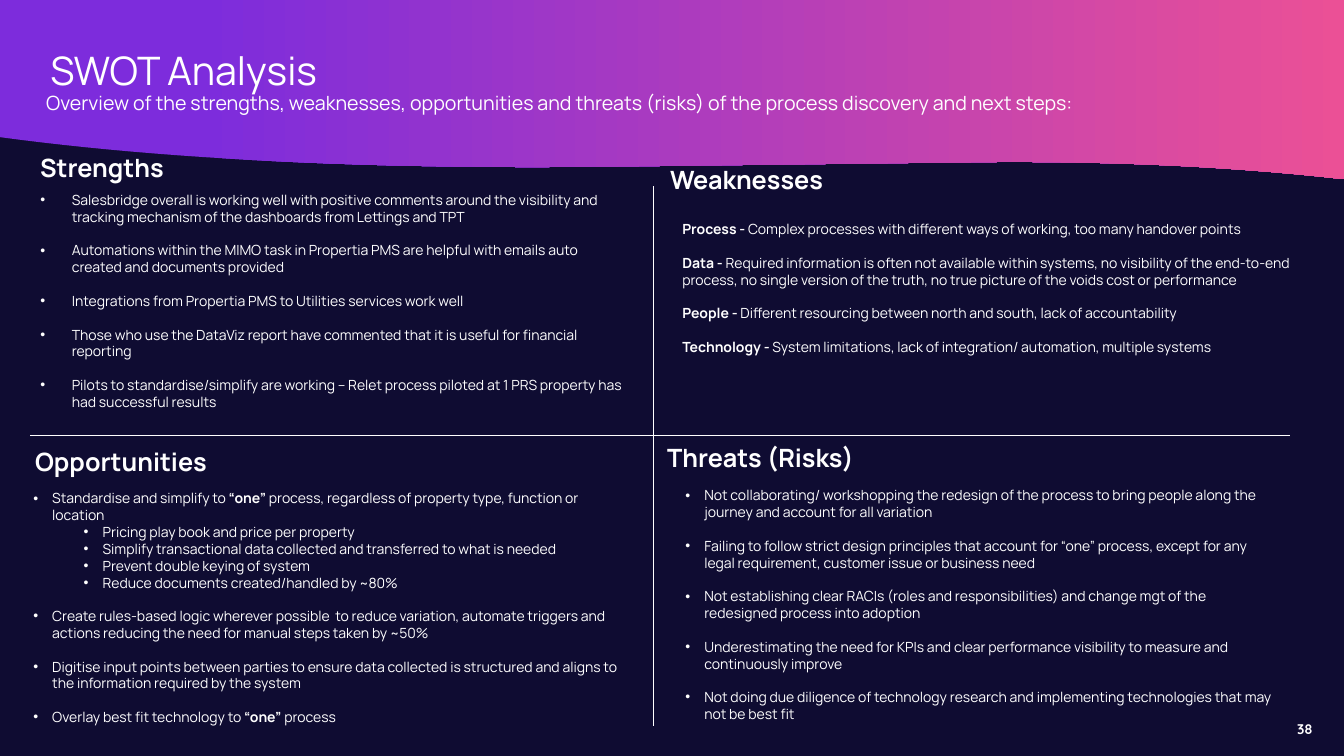
from lxml import etree
from pptx import Presentation
from pptx.dml.color import RGBColor
from pptx.enum.shapes import MSO_CONNECTOR
from pptx.enum.text import MSO_ANCHOR, MSO_AUTO_SIZE, PP_ALIGN
from pptx.oxml.ns import qn
from pptx.util import Pt

STRAIGHT = MSO_CONNECTOR.STRAIGHT
TOP, MIDDLE = MSO_ANCHOR.TOP, MSO_ANCHOR.MIDDLE
NO_AUTOFIT = MSO_AUTO_SIZE.NONE
LEFT, RIGHT = PP_ALIGN.LEFT, PP_ALIGN.RIGHT
NAVY, WHITE, VIOLET, PINK = "0F0C32", "FFFFFF", "7D2CDC", "EB5096"
COMPARISON = 4  # layout with a title and four body placeholders


def rgb(value):
    return RGBColor.from_string(value)


def style(p, size, bold=False, font="Manrope", align=LEFT):
    """Format a paragraph and all its runs."""
    p.alignment = align
    for r in p.runs:
        r.font.name = font
        r.font.size = Pt(size)
        r.font.bold = bold
        r.font.color.rgb = rgb(WHITE)


prs = Presentation()
prs.slide_width, prs.slide_height = Pt(960), Pt(540)
s = prs.slides.add_slide(prs.slide_layouts[COMPARISON])
s.background.fill.solid()
s.background.fill.fore_color.rgb = rgb(NAVY)

# Header band with a wavy lower edge, from two Bezier curves
wave = [
    [(960, 128), (881, 119), (789, 114.5), (687, 116)],
    [(438, 119), (264, 121), (119, 114), (0, 98)],
]
edge = []
for curve in wave:
    for step in range(25):
        t = step / 24
        weights = ((1 - t) ** 3, 3 * t * (1 - t) ** 2, 3 * t**2 * (1 - t), t**3)
        edge.append([Pt(sum(w * pt[axis] for w, pt in zip(weights, curve)))
                     for axis in (0, 1)])
builder = s.shapes.build_freeform(0, 0)
builder.add_line_segments([(Pt(960), 0)] + edge, close=True)
band = builder.convert_to_shape()
band.shadow.inherit = False
band.line.fill.background()
band.fill.gradient()
band.fill.gradient_angle = 0
for stop, position, color in zip(band.fill.gradient_stops, (0.15, 1), (VIOLET, PINK)):
    stop.position = position
    stop.color.rgb = rgb(color)
s.shapes._spTree.insert(2, band._element)

# Title
title = s.shapes.title
title.left, title.top, title.width, title.height = Pt(28.8), Pt(21.6), Pt(829.4), Pt(60.5)
tf = title.text_frame
tf.text = "SWOT Analysis"
tf.auto_size = NO_AUTOFIT
tf.vertical_anchor = MIDDLE
tf.paragraphs[0].line_spacing = 0.9
style(tf.paragraphs[0], 28)

# Quadrant dividers
for x1, y1, x2, y2 in [(466.6, 133.2, 466.6, 518.4), (21.6, 311, 921.6, 311)]:
    divider = s.shapes.add_connector(STRAIGHT, Pt(x1), Pt(y1), Pt(x2), Pt(y2))
    divider.line.color.rgb = rgb(WHITE)
    divider.line.width = Pt(0.5)
    etree.SubElement(divider._element.spPr, qn("a:effectLst"))

# Subtitle and quadrant headings: text, left, top, width, height, size, bold
labels = [
    ("Overview of the strengths, weaknesses, opportunities and threats (risks) "
     "of the process discovery and next steps:", 25.9, 61.2, 779.8, 41, 14, False),
    ("Strengths", 21.6, 105.1, 157, 29, 18, True),
    ("Weaknesses", 471.6, 113.8, 157, 29, 18, True),
    ("Opportunities", 18, 315.4, 157, 29, 18, True),
    ("Threats (Risks)", 469.4, 312.5, 157, 29, 18, True),
]
for text, x, y, w, h, size, bold in labels:
    tf = s.shapes.add_textbox(Pt(x), Pt(y), Pt(w), Pt(h)).text_frame
    tf.word_wrap = True
    tf.text = text
    style(tf.paragraphs[0], size, bold)

# Quadrant texts: ** marks bold, a leading tab marks a second-level item
strengths = [
    "Salesbridge overall is working well with positive comments around the visibility "
    "and tracking mechanism of the dashboards from Lettings and TPT",
    "Automations within the MIMO task in Propertia PMS are helpful with emails auto "
    "created and documents provided",
    "Integrations from Propertia PMS to Utilities services work well",
    "Those who use the DataViz report have commented that it is useful for financial "
    "reporting",
    "Pilots to standardise/simplify are working – Relet process piloted at 1 PRS "
    "property has had successful results",
]
weaknesses = [
    "**Process - **Complex processes with different ways of working, too many "
    "handover points",
    "**Data - **Required information is often not available within systems, no "
    "visibility of the end-to-end process, no single version of the truth, no true "
    "picture of the voids cost or performance",
    "**People - **Different resourcing between north and south, lack of accountability",
    "**Technology - **System limitations, lack of integration/ automation, multiple "
    "systems",
]
opportunities = [
    "Standardise and simplify to **“one” **process, regardless of property type, "
    "function or location",
    "\tPricing play book and price per property",
    "\tSimplify transactional data collected and transferred to what is needed",
    "\tPrevent double keying of system",
    "\tReduce documents created/handled by ~80%",
    "Create rules-based logic wherever possible  to reduce variation, automate "
    "triggers and actions reducing the need for manual steps taken by ~50%",
    "Digitise input points between parties to ensure data collected is structured and "
    "aligns to the information required by the system",
    "Overlay best fit technology to **“one” **process",
]
threats = [
    "Not collaborating/ workshopping the redesign of the process to bring people along "
    "the journey and account for all variation",
    "Failing to follow strict design principles that account for “one” process, except "
    "for any legal requirement, customer issue or business need",
    "Not establishing clear RACIs (roles and responsibilities) and change mgt of the "
    "redesigned process into adoption",
    "Underestimating the need for KPIs and clear performance visibility to measure and "
    "continuously improve",
    "Not doing due diligence of technology research and implementing technologies that "
    "may not be best fit",
]
# Placeholder index, items, left, top, width, height, bullet indent
quadrants = [
    (1, strengths, 21.6, 133.2, 429.8, 177, 22.5),
    (2, weaknesses, 480.2, 154.1, 458.6, 116.6, 0),
    (3, opportunities, 16.6, 346.3, 439.2, 177, 13.5),
    (4, threats, 482.4, 344.2, 439.2, 177, 13.5),
]
for idx, items, x, y, w, h, indent in quadrants:
    body = s.placeholders[idx]
    body.left, body.top, body.width, body.height = Pt(x), Pt(y), Pt(w), Pt(h)
    tf = body.text_frame
    tf.auto_size = NO_AUTOFIT
    tf.vertical_anchor = TOP
    for i, item in enumerate(items):
        p = tf.add_paragraph() if i else tf.paragraphs[0]
        level = int(item.startswith("\t"))
        p.level = level
        pPr = p._p.get_or_add_pPr()
        pPr.set("marL", str(Pt(indent + 36 * level)))
        pPr.set("indent", str(-Pt(indent)))
        if indent:
            etree.SubElement(pPr, qn("a:buFont")).set("typeface", "Arial")
            etree.SubElement(pPr, qn("a:buChar")).set("char", "•")
        else:
            etree.SubElement(pPr, qn("a:buNone"))
        p.space_before = Pt(12 if i and not level else 0)
        parts = item.strip("\t").split("**")
        for part in parts:
            if part:
                p.add_run().text = part
        style(p, 10)
        bold_parts = parts[1::2]
        for r in p.runs:
            r.font.bold = r.text in bold_parts

# Slide number
tf = s.shapes.add_textbox(Pt(874), Pt(514.8), Pt(63.5), Pt(12.2)).text_frame
tf.margin_left = tf.margin_right = tf.margin_top = tf.margin_bottom = 0
tf.word_wrap = True
tf.text = "38"
style(tf.paragraphs[0], 10, True, "Quicksand", RIGHT)

prs.save("out.pptx")
